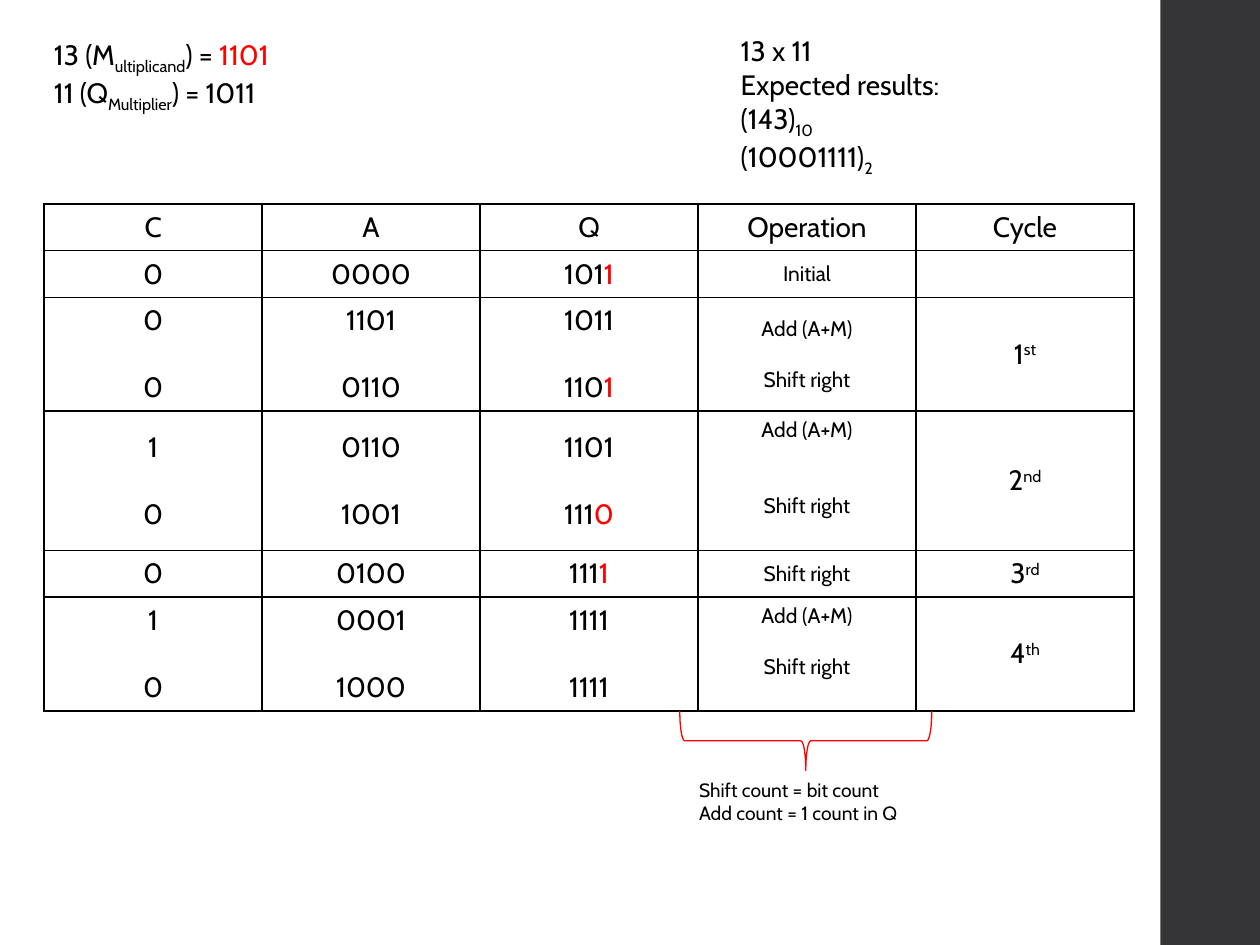
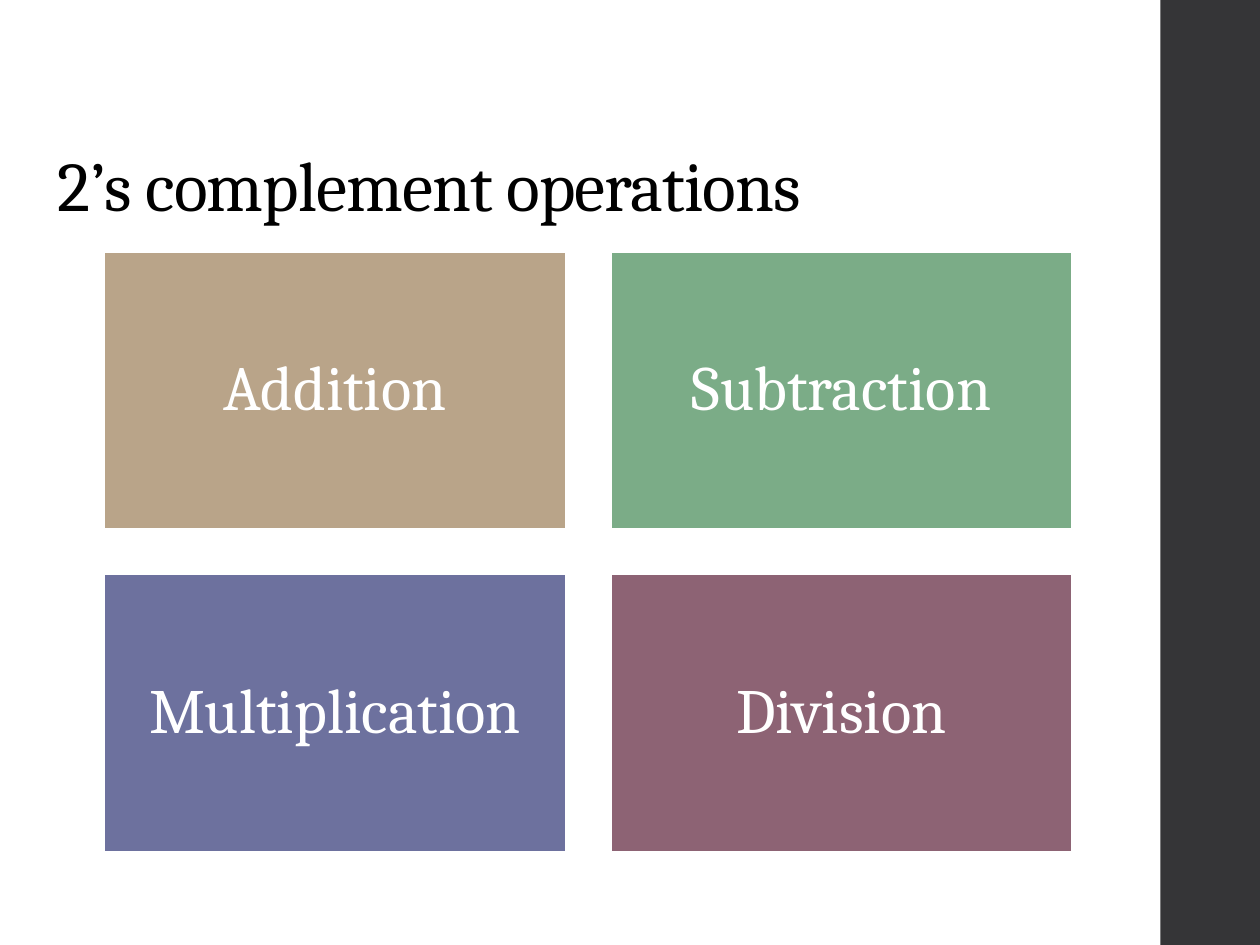
from lxml.etree import SubElement
from pptx import Presentation
from pptx.dml.color import RGBColor
from pptx.enum.shapes import MSO_SHAPE as Shape
from pptx.enum.text import MSO_ANCHOR as Anchor, MSO_AUTO_SIZE as AutoSize, PP_ALIGN as Align
from pptx.oxml.ns import qn
from pptx.util import Inches, Pt

# Shared look
BLACK = RGBColor(0x00, 0x00, 0x00)
WHITE = RGBColor(0xFF, 0xFF, 0xFF)
RED = RGBColor(0xFF, 0x00, 0x00)
CHARCOAL = RGBColor(0x35, 0x35, 0x37)
SAND = RGBColor(0xB9, 0xA4, 0x89)
GREEN = RGBColor(0x7B, 0xAC, 0x87)
INDIGO = RGBColor(0x6D, 0x71, 0x9E)
PLUM = RGBColor(0x8D, 0x63, 0x74)
BODY_FONT, HEAD_FONT = "Cabin", "Cambria"
BODY_SIZE, STEP_SIZE, NOTE_SIZE = 16, 12, 11
LINE_RATIO = 1.19  # line height as a multiple of the text size

# The slide is a grid of 100 columns by 75 rows
COLUMNS, ROWS = 100, 75


def grid(*counts):
    return [Inches(count / 10) for count in counts]


# Runs: plain strings, or (text, style) pairs
def red(text):
    return text, {"color": RED}


def sub(text):
    return text, {"baseline": -25000}


def sup(text):
    return text, {"baseline": 30000}


def format_all(target, values):
    for name, value in values.items():
        setattr(target, name, value)


def write_line(paragraph, runs, size, font=BODY_FONT, color=BLACK):
    for item in runs:
        text, style = (item, {}) if isinstance(item, str) else item
        run = paragraph.add_run()
        run.text = text
        format_all(run.font, {"name": font, "size": Pt(size)})
        run.font.color.rgb = style.get("color", color)
        if "baseline" in style:
            run.font._element.set("baseline", str(style["baseline"]))


def write_lines(frame, lines, size, align=Align.LEFT, gap=0):
    """Write one paragraph per line, with gap counted in lines of text."""
    for index, runs in enumerate(lines):
        paragraph = frame.add_paragraph() if index else frame.paragraphs[0]
        paragraph.alignment = align
        if index and gap:
            paragraph.space_before = Pt(round(gap * size * LINE_RATIO, 1))
        write_line(paragraph, runs, size)


def add_text(slide, place, lines, size=BODY_SIZE, wrap=True):
    frame = slide.shapes.add_textbox(*grid(*place)).text_frame
    frame.word_wrap = wrap
    write_lines(frame, lines, size)


def add_block(slide, kind, place, fill=None, line=None, width=1):
    block = slide.shapes.add_shape(kind, *grid(*place))
    block.shadow.inherit = False
    if fill is None:
        block.fill.background()
    else:
        block.fill.solid()
        block.fill.fore_color.rgb = fill
    if line is None:
        block.line.fill.background()
    else:
        block.line.color.rgb = line
        block.line.width = Pt(width)
    return block


def add_master_band(prs, slide):
    """Draw the side band once and place it behind everything on the master."""
    left = 92.1
    band = add_block(slide, Shape.RECTANGLE, (left, 0, COLUMNS - left, ROWS), CHARCOAL)
    prs.slide_master.shapes.element.insert(2, band.element)


def add_title(slide, text):
    title = slide.shapes.title
    format_all(title, dict(zip(("left", "top", "width", "height"), grid(3.6, 4, 86.3, 14.5))))
    format_all(title.text_frame, {"vertical_anchor": Anchor.BOTTOM, "word_wrap": True,
                                  "auto_size": AutoSize.NONE})
    paragraph = title.text_frame.paragraphs[0]
    format_all(paragraph, {"alignment": Align.LEFT, "line_spacing": 0.9})
    write_line(paragraph, [text], 40, HEAD_FONT)
    paragraph.runs[0].font._element.set("spc", "-50")


def add_borders(cell):
    properties = cell._tc.get_or_add_tcPr()
    for side in ("lnL", "lnR", "lnT", "lnB"):
        border = SubElement(properties, qn(f"a:{side}"), w=str(Pt(1)))
        fill = SubElement(border, qn("a:solidFill"))
        SubElement(fill, qn("a:srgbClr"), val=str(BLACK))


def fill_cell(cell, lines, size, gap, bottom):
    add_borders(cell)
    cell.fill.background()
    format_all(cell, {"vertical_anchor": Anchor.MIDDLE, "margin_bottom": Inches(bottom)})
    write_lines(cell.text_frame, lines, size, Align.CENTER, gap)
    if not lines:
        SubElement(cell.text_frame.paragraphs[0]._p, qn("a:endParaRPr"), sz=str(size * 100))


# Multiplication trace: row height, then the lines of C, A, Q, Operation, Cycle
ADD_THEN_SHIFT = [["Add (A+M)"], ["Shift right"]]
TRACE = [
    (3.7, [["C"]], [["A"]], [["Q"]], [["Operation"]], [["Cycle"]]),
    (3.7, [["0"]], [["0000"]], [["101", red("1")]], [["Initial"]], []),
    (8.9, [["0"], ["0"]], [["1101"], ["0110"]], [["1011"], ["110", red("1")]],
     ADD_THEN_SHIFT, [["1", sup("st")]]),
    (10.9, [["1"], ["0"]], [["0110"], ["1001"]], [["1101"], ["111", red("0")]],
     ADD_THEN_SHIFT, [["2", sup("nd")]]),
    (3.7, [["0"]], [["0100"]], [["111", red("1")]], [["Shift right"]], [["3", sup("rd")]]),
    (8.9, [["1"], ["0"]], [["0001"], ["1000"]], [["1111"], ["1111"]],
     ADD_THEN_SHIFT, [["4", sup("th")]]),
]
OPERATION = 3
SECOND_CYCLE, FOURTH_CYCLE = 3, 5


def add_trace_table(slide):
    place = grid(3.5, 16.2, 86.5, sum(row[0] for row in TRACE))
    table = slide.shapes.add_table(len(TRACE), len(TRACE[0]) - 1, *place).table
    format_all(table, {"first_row": False, "horz_banding": False})
    for r, (height, *entries) in enumerate(TRACE):
        table.rows[r].height = grid(height)[0]
        for c, lines in enumerate(entries):
            is_step = c == OPERATION and r > 0
            size = STEP_SIZE if is_step else BODY_SIZE
            gap = 2 if is_step and r == SECOND_CYCLE else 1
            raised = is_step and r in (SECOND_CYCLE, FOURTH_CYCLE)
            fill_cell(table.cell(r, c), lines, size, gap, 0.25 if raised else 0.05)


def build_multiplication(slide):
    add_trace_table(slide)
    # Operands and expected product
    add_text(slide, (3.3, 2.5, 50, 6.4), [
        ["13 (M", sub("ultiplicand"), ") = ", red("1101")],
        ["11 (Q", sub("Multiplier"), ") = 1011"],
    ])
    add_text(slide, (57.8, 2.2, 32.2, 11.8), [
        ["13 x 11"], ["Expected results:"],
        ["(143)", sub("10")], ["(10001111)", sub("2")],
    ])
    # Rule of thumb under the Operation column
    brace = add_block(slide, Shape.RIGHT_BRACE, (61.6, 48.8, 4.7, 20), line=RED, width=0.75)
    brace.rotation = 90
    add_text(slide, (54.5, 61.3, 19.4, 4.7),
             [["Shift count = bit count"], ["Add count = 1 count in Q"]], NOTE_SIZE, wrap=False)


def build_operations(slide):
    add_title(slide, "2’s complement operations")
    tile_width, tile_height, gutter = 36.6, 22, 3.6
    operations = [("Addition", SAND), ("Subtraction", GREEN),
                  ("Multiplication", INDIGO), ("Division", PLUM)]
    for index, (operation, color) in enumerate(operations):
        row, column = divmod(index, 2)
        place = (8.3 + column * (tile_width + gutter), 20 + row * (tile_height + gutter),
                 tile_width, tile_height)
        tile = add_block(slide, Shape.RECTANGLE, place, color, WHITE, 1.1)
        frame = tile.text_frame
        margins = ("margin_left", "margin_top", "margin_right", "margin_bottom")
        format_all(frame, dict.fromkeys(margins, Inches(0.15)))
        format_all(frame, {"word_wrap": True, "vertical_anchor": Anchor.MIDDLE})
        paragraph = frame.paragraphs[0]
        format_all(paragraph, {"alignment": Align.CENTER, "line_spacing": 0.9})
        write_line(paragraph, [operation], 36, HEAD_FONT, WHITE)


def main():
    prs = Presentation()
    prs.slide_width, prs.slide_height = grid(COLUMNS, ROWS)
    title_only, blank = prs.slide_layouts[5], prs.slide_layouts[6]
    multiplication = prs.slides.add_slide(blank)
    add_master_band(prs, multiplication)
    build_multiplication(multiplication)
    build_operations(prs.slides.add_slide(title_only))
    prs.save("out.pptx")


if __name__ == "__main__":
    main()
